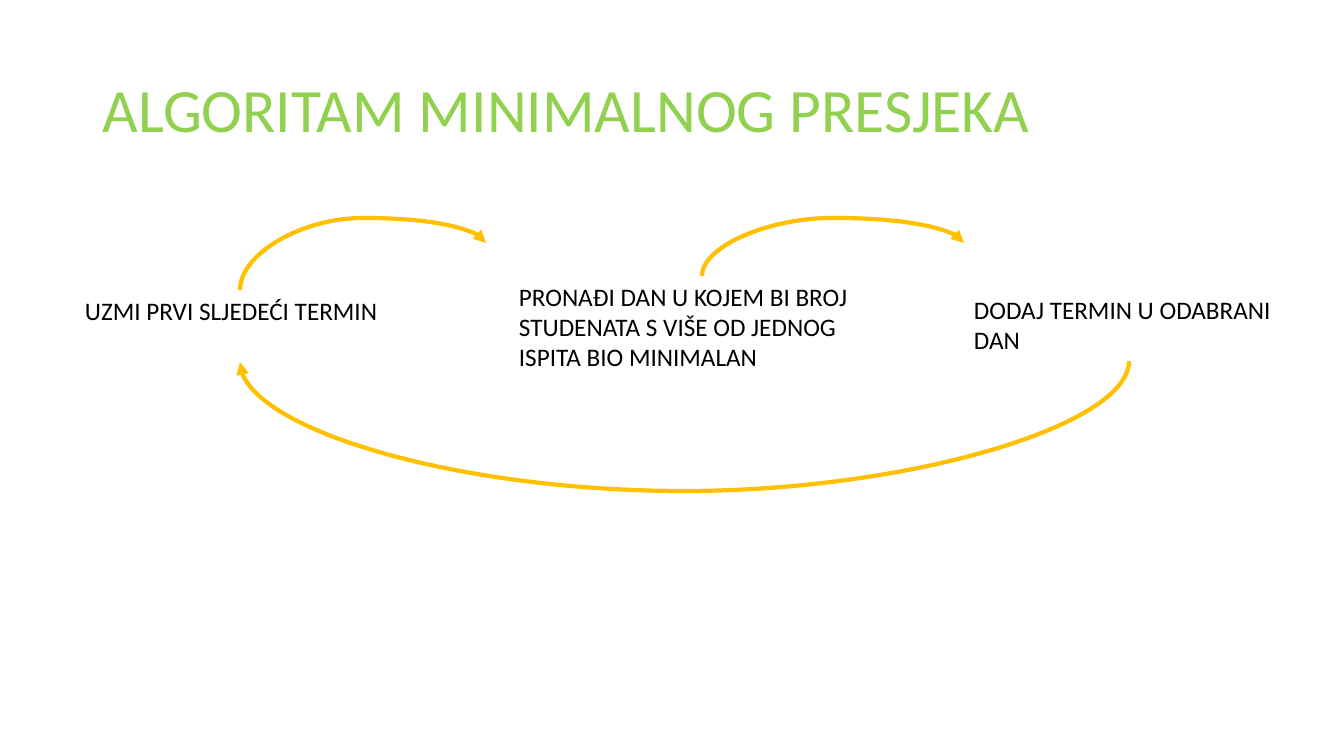
import pptx
import pptx.util
import pptx.dml.color
import pptx.enum.shapes
import pptx.enum.text
import pptx.oxml
import pptx.oxml.ns

GREEN = pptx.dml.color.RGBColor(0x92, 0xD0, 0x50)
BLACK = pptx.dml.color.RGBColor(0x00, 0x00, 0x00)
AMBER = pptx.dml.color.RGBColor(0xFF, 0xC0, 0x00)

STEPS = [
    (75, 290, 330, 72, "UZMI PRVI SLJEDEĆI TERMIN"),
    (509, 276, 385, 102, "PRONAĐI DAN U KOJEM BI BROJ STUDENATA S VIŠE OD JEDNOG ISPITA BIO MINIMALAN"),
    (964, 289, 331, 72, "DODAJ TERMIN U ODABRANI DAN"),
]
ARROWS = [
    (240, 290, 486, 243, 218),
    (702, 276, 964, 243, 218),
    (1129, 361, 240, 362, 492),
]


class Deck:
    """Holds the style and the current slide, and draws each kind of element."""

    font = "Calibri"
    scale = 914400 / 100.8

    def __init__(self, width, height):
        self.prs = pptx.Presentation()
        self.prs.slide_width = self.px(width)
        self.prs.slide_height = self.px(height)
        self.s = self.prs.slides.add_slide(self.prs.slide_layouts[6])

    def px(self, n):
        return pptx.util.Emu(round(n * self.scale))

    def text(self, x, y, w, h, words, size=18, color=BLACK, spacing=1.0,
             anchor=pptx.enum.text.MSO_ANCHOR.TOP):
        sp = self.s.shapes.add_textbox(*map(self.px, (x, y, w, h)))
        tf = sp.text_frame
        tf.word_wrap = True
        tf.vertical_anchor = anchor
        p = tf.paragraphs[0]
        p.line_spacing = spacing
        r = p.add_run()
        r.text = words
        style = {"name": self.font, "size": pptx.util.Pt(size)}
        for key, value in style.items():
            setattr(r.font, key, value)
        r.font.color.rgb = color

    def arrow(self, x1, y1, x2, y2, peak):
        cx, cy = (x1 + x2) / 2, (y1 + y2) / 2
        dx, dy = (x2 - x1) / 2, (y2 - y1) / 2
        ends = map(self.px, (cx - dy, cy + dx, cx + dy, cy - dx))
        sp = self.s.shapes.add_connector(pptx.enum.shapes.MSO_CONNECTOR.CURVE, *ends)
        sp.line.color.rgb = AMBER
        sp.line.width = pptx.util.Pt(3)
        qn, sub = pptx.oxml.ns.qn, pptx.oxml.xmlchemy.OxmlElement
        pr = sp.element.spPr
        pr.find(qn("a:xfrm")).set("rot", "5400000")
        bend = sub("a:gd")
        bend.set("name", "adj1")
        bend.set("fmla", f"val {round((peak - y1) / (y2 - y1) * 100000)}")
        pr.find(qn("a:prstGeom")).find(qn("a:avLst")).append(bend)
        head = sub("a:tailEnd")
        head.set("type", "triangle")
        pr.find(qn("a:ln")).append(head)
        pr.append(sub("a:effectLst"))


def main():
    deck = Deck(1344, 756)
    deck.text(93, 40, 1159, 146, "ALGORITAM MINIMALNOG PRESJEKA", 44, GREEN, 0.9,
              pptx.enum.text.MSO_ANCHOR.MIDDLE)
    for step in STEPS:
        deck.text(*step)
    for arrow in ARROWS:
        deck.arrow(*arrow)
    deck.prs.save("out.pptx")


if __name__ == "__main__":
    main()
